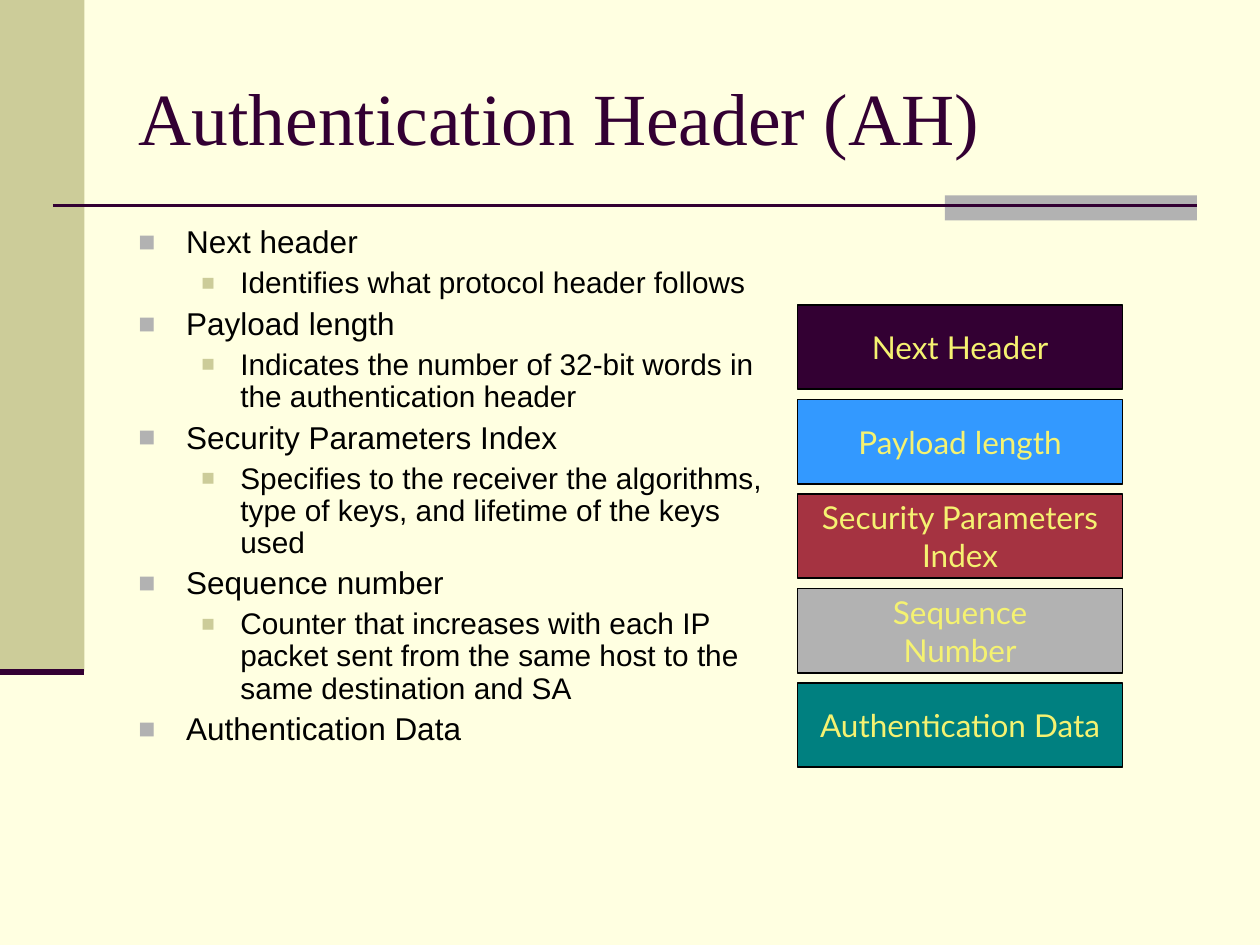
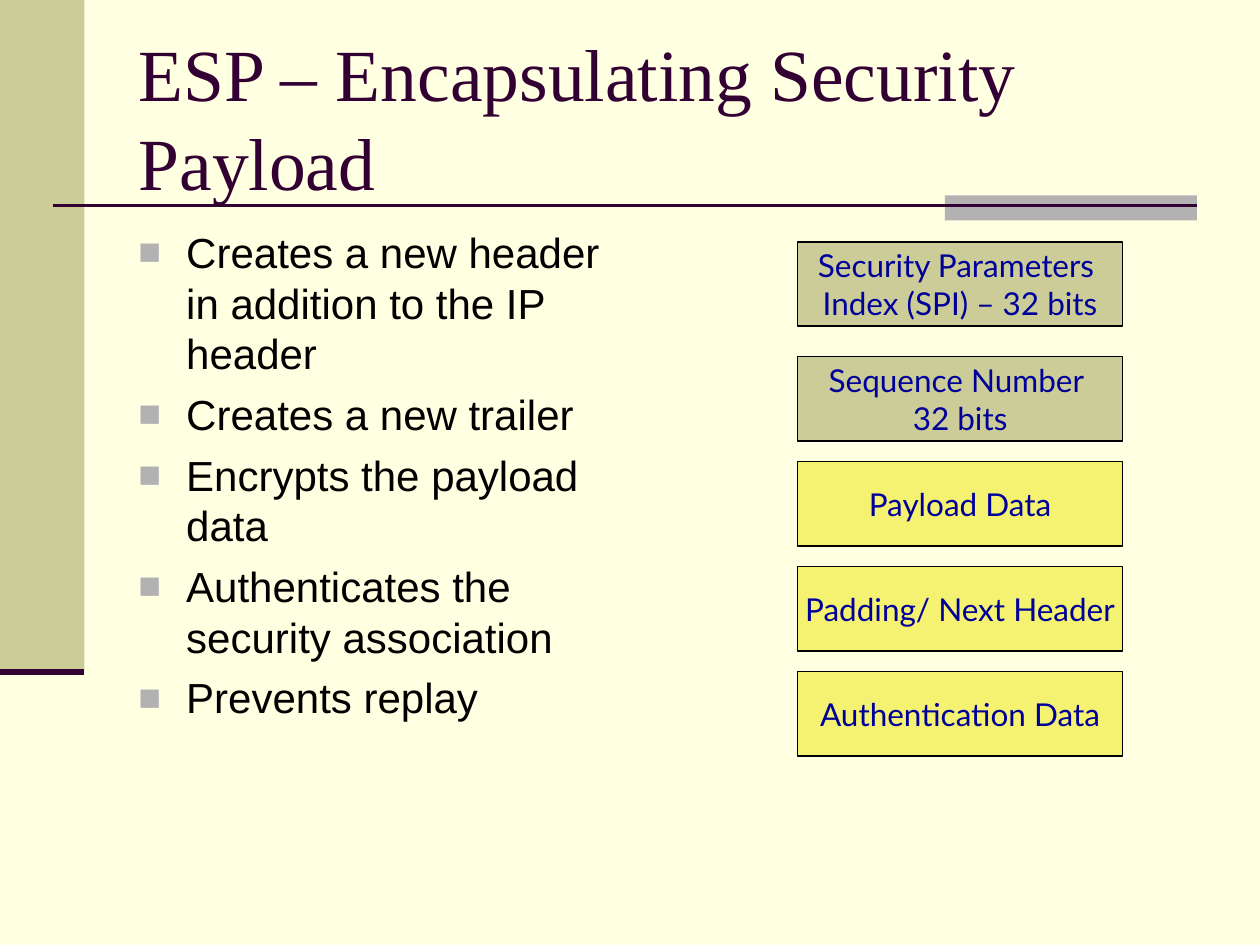
from dataclasses import dataclass

from lxml import etree
from pptx import Presentation
from pptx.dml.color import RGBColor
from pptx.enum.shapes import MSO_CONNECTOR, MSO_SHAPE
from pptx.enum.text import MSO_ANCHOR, MSO_AUTO_SIZE, PP_ALIGN
from pptx.oxml.ns import qn
from pptx.util import Inches, Pt

RECT = MSO_SHAPE.RECTANGLE
LINE = MSO_CONNECTOR.STRAIGHT
MIDDLE = MSO_ANCHOR.MIDDLE
NO_FIT = MSO_AUTO_SIZE.NONE
LEFT, CENTER = PP_ALIGN.LEFT, PP_ALIGN.CENTER
TITLE_ONLY = 5


@dataclass(frozen=True)
class Theme:
    paper: str = "FFFFE1"
    sand: str = "CCCC99"
    gray: str = "B2B2B2"
    plum: str = "330033"
    black: str = "000000"
    blue: str = "3399FF"
    red: str = "A53341"
    teal: str = "008080"
    yellow: str = "F5F271"
    navy: str = "000099"
    serif: str = "Times New Roman"
    sans: str = "Arial"
    label: str = "Lato"
    title_size: int = 42
    box_size: int = 18
    body_size: int = 24
    small_sizes: tuple = (18, 17)


def color(code):
    return RGBColor.from_string(code)


def inches(*values):
    return [Inches(v) for v in values]


class Deck:
    def __init__(self, theme):
        self.theme = theme
        self.prs = Presentation()
        self.prs.slide_width, self.prs.slide_height = inches(10, 7.5)
        self.slide = None

    def start(self, title):
        """Add a slide with its bands, rules and title."""
        t = self.theme
        self.slide = self.prs.slides.add_slide(self.prs.slide_layouts[TITLE_ONLY])
        fill = self.slide.background.fill
        fill.solid()
        fill.fore_color.rgb = color(t.paper)
        self.rect(0, 0, 0.67, 5.33, t.sand)
        self.rect(7.5, 1.55, 2, 0.2, t.gray)
        self.rule(0.42, 9.5, 1.63, 1.5)
        self.rule(0, 0.67, 5.33, 3.5)
        self.title(title)

    def title(self, text):
        t = self.theme
        shape = self.slide.shapes.title
        shape.left, shape.top, shape.width, shape.height = inches(1, 0.3, 8.5, 1.25)
        frame = shape.text_frame
        frame.text = text
        frame.auto_size = NO_FIT
        frame.vertical_anchor = MIDDLE
        frame.paragraphs[0].alignment = LEFT
        self.style(frame.paragraphs[0], t.serif, t.title_size, t.plum)

    def style(self, para, face, size, tint):
        for run in para.runs:
            run.font.name = face
            run.font.size = Pt(size)
            run.font.color.rgb = color(tint)

    def rect(self, left, top, width, height, tint):
        shape = self.slide.shapes.add_shape(RECT, *inches(left, top, width, height))
        shape.shadow.inherit = False
        shape.fill.solid()
        shape.fill.fore_color.rgb = color(tint)
        shape.line.fill.background()
        return shape

    def rule(self, left, right, top, weight):
        line = self.slide.shapes.add_connector(LINE, *inches(left, top, right, top))
        line.line.color.rgb = color(self.theme.plum)
        line.line.width = Pt(weight)
        etree.SubElement(line._element.spPr, qn("a:effectLst"))

    def box(self, top, text, tint, ink):
        t = self.theme
        shape = self.rect(6.33, top, 2.58, 0.67, tint)
        shape.line.color.rgb = color(t.black)
        shape.line.width = Pt(1)
        frame = shape.text_frame
        frame.text = text
        frame.word_wrap = False
        frame.vertical_anchor = MIDDLE
        for para in frame.paragraphs:
            para.alignment = CENTER
            self.style(para, t.label, t.box_size, ink)

    def stack(self, top, step, ink, fields):
        """Place header fields one below the other."""
        for i, (text, tint) in enumerate(fields):
            self.box(top + i * step, text, tint, ink)

    def bullet(self, para, level):
        tint, scale, indent, hang = (
            (self.theme.gray, 90, 0.38, 0.38),
            (self.theme.sand, 75, 0.81, 0.31),
        )[level]
        para.level = level
        props = para._p.get_or_add_pPr()
        props.set("marL", str(Inches(indent)))
        props.set("indent", str(-Inches(hang)))
        paint = etree.SubElement(props, qn("a:buClr"))
        etree.SubElement(paint, qn("a:srgbClr"), val=tint)
        etree.SubElement(props, qn("a:buSzPct"), val=str(scale * 1000))
        etree.SubElement(props, qn("a:buFont"), typeface=self.theme.sans)
        etree.SubElement(props, qn("a:buChar"), char="■")

    def bullets(self, width, items, sizes, spacing=1.0):
        """Write (level, text) items; the gap above each is a quarter of its size."""
        t = self.theme
        shape = self.slide.shapes.add_textbox(*inches(1, 1.75, width, 4.95))
        frame = shape.text_frame
        frame.word_wrap = True
        frame.text = "\n".join(text for _, text in items)
        for i, (para, (level, _)) in enumerate(zip(frame.paragraphs, items)):
            self.bullet(para, level)
            para.line_spacing = spacing
            para.space_before = Pt(sizes[level] / 4 if i else 0)
            self.style(para, t.sans, sizes[level], t.black)


def header_slide(deck):
    t = deck.theme
    deck.start("Authentication Header (AH)")
    deck.bullets(5.27, [
        (0, "Next header"),
        (1, "Identifies what protocol header follows"),
        (0, "Payload length"),
        (1, "Indicates the number of 32-bit words in the authentication header"),
        (0, "Security Parameters Index"),
        (1, "Specifies to the receiver the algorithms, type of keys, "
            "and lifetime of the keys used"),
        (0, "Sequence number"),
        (1, "Counter that increases with each IP packet sent from the same host "
            "to the same destination and SA"),
        (0, "Authentication Data"),
    ], t.small_sizes, 0.9)
    deck.stack(2.42, 0.75, t.yellow, [
        ("Next Header", t.plum),
        ("Payload length", t.blue),
        ("Security Parameters\nIndex", t.red),
        ("Sequence\nNumber", t.gray),
        ("Authentication Data", t.teal),
    ])


def payload_slide(deck):
    t = deck.theme
    deck.start("ESP – Encapsulating Security Payload")
    deck.bullets(4.17, [
        (0, "Creates a new header in addition to the IP header"),
        (0, "Creates a new trailer"),
        (0, "Encrypts the payload data"),
        (0, "Authenticates the security association"),
        (0, "Prevents replay"),
    ], (t.body_size,))
    deck.box(1.92, "Security Parameters \nIndex (SPI) – 32 bits", t.sand, t.navy)
    deck.stack(2.83, 2.5 / 3, t.navy, [
        ("Sequence Number \n32 bits", t.sand),
        ("Payload Data", t.yellow),
        ("Padding/ Next Header", t.yellow),
        ("Authentication Data", t.yellow),
    ])


def main():
    deck = Deck(Theme())
    header_slide(deck)
    payload_slide(deck)
    deck.prs.save("out.pptx")


if __name__ == "__main__":
    main()
